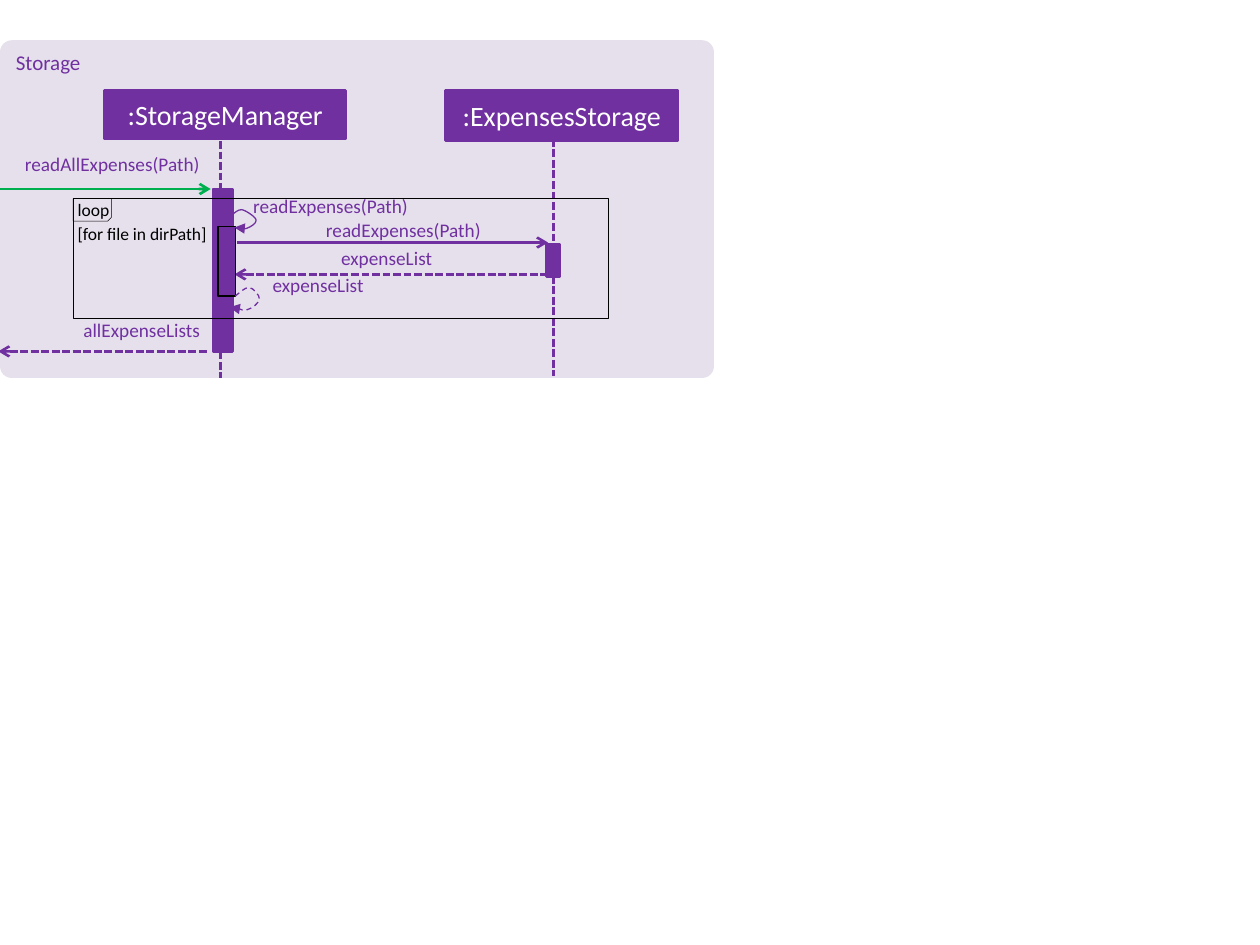
from lxml.etree import SubElement as Sub
from pptx import Presentation
from pptx.dml.color import RGBColor as RGB
from pptx.enum.dml import MSO_LINE as Dash
from pptx.enum.shapes import MSO_CONNECTOR as Conn, MSO_SHAPE as Form
from pptx.enum.text import MSO_ANCHOR as Anchor, PP_ALIGN as Align
from pptx.oxml.ns import qn
from pptx.util import Pt

PURPLE = RGB(0x70, 0x30, 0xA0)
LILAC = RGB(0xE6, 0xE0, 0xEC)
GREEN = RGB(0x00, 0xB0, 0x50)
BLACK = RGB(0, 0, 0)
WHITE = RGB(255, 255, 255)

deck = Presentation()
deck.slide_width, deck.slide_height = Pt(720), Pt(540)
shapes = deck.slides.add_slide(deck.slide_layouts[6]).shapes


def add_box(form, x, y, w, h, fill=None, edge=None, width=1.5):
    box = shapes.add_shape(form, Pt(x), Pt(y), Pt(w), Pt(h))
    box.shadow.inherit = False
    if fill is None:
        box.fill.background()
    else:
        box.fill.solid()
        box.fill.fore_color.rgb = fill
    if edge is None:
        box.line.fill.background()
    else:
        box.line.color.rgb = edge
        box.line.width = Pt(width)
    return box


def write(box, text, size, color, align):
    para = box.text_frame.paragraphs[0]
    para.text = text
    para.alignment = align
    font = para.runs[0].font
    font.name, font.size, font.color.rgb = "Calibri", Pt(size), color


# Component panel
panel = add_box(Form.ROUNDED_RECTANGLE, 0, 23, 408, 193, LILAC)
panel.adjustments[0] = 0.035
panel.text_frame.vertical_anchor = Anchor.TOP
write(panel, "Storage", 12, PURPLE, Align.LEFT)

# Participants
for name, x, y, w, h in [
    (":StorageManager", 59.8, 51.8, 137.8, 27.6),
    (":ExpensesStorage", 254.6, 51.8, 132.8, 28.6),
]:
    head = add_box(Form.RECTANGLE, x, y, w, h, PURPLE, PURPLE)
    head.text_frame.vertical_anchor = Anchor.MIDDLE
    write(head, name, 16, WHITE, Align.CENTER)

# Lifelines and messages: x1, y1, x2, y2, colour, dashed, arrow end
for x1, y1, x2, y2, color, dashed, end in [
    (126, 80.6, 126, 216, PURPLE, True, None),
    (316.2, 79.4, 316.2, 214.8, PURPLE, True, None),
    (0, 108, 120.4, 108, GREEN, False, "tailEnd"),
    (134, 156.8, 315.4, 156.8, PURPLE, True, "headEnd"),
    (-1, 200.8, 118.8, 200.8, PURPLE, True, "headEnd"),
    (135.4, 138.6, 313.2, 138.6, PURPLE, False, "tailEnd"),
]:
    link = shapes.add_connector(Conn.STRAIGHT, Pt(x1), Pt(y1), Pt(x2), Pt(y2))
    link.line.color.rgb = color
    link.line.width = Pt(1.5)
    if dashed:
        link.line.dash_style = Dash.SQUARE_DOT
    props = link._element.spPr
    if end:
        Sub(props.find(qn("a:ln")), qn("a:" + end), type="arrow")
    Sub(props, qn("a:effectLst"))

# Activation bars
for x, y, w, h, edge, width in [
    (121.8, 108, 11, 93, PURPLE, 1.5),
    (312.2, 139.6, 7.8, 18.6, PURPLE, 1.5),
    (124.6, 129.6, 10, 39.6, BLACK, 0.75),
]:
    add_box(Form.RECTANGLE, x, y, w, h, PURPLE, edge, width)

# Loop frame and its tab
add_box(Form.RECTANGLE, 41.8, 113.2, 306, 68.4, None, BLACK, 0.25)
tab = add_box(Form.SNIP_1_RECTANGLE, 41.8, 113.6, 21.8, 12.8, None, BLACK, 0.25)
tab._element.spPr.find(qn("a:xfrm")).set("flipV", "1")

# Labels
for text, x, y, w, size, color in [
    ("readAllExpenses(Path)", 2, 87.2, 112.2, 11, PURPLE),
    ("allExpenseLists", 31, 181.8, 83.4, 11, PURPLE),
    ("readExpenses(Path)", 121, 111, 112.2, 11, PURPLE),
    ("readExpenses(Path)", 162.6, 124.8, 112.2, 11, PURPLE),
    ("expenseList", 167, 140.6, 80, 11, PURPLE),
    ("expenseList", 144.2, 156.2, 63.6, 11, PURPLE),
    ("loop", 35.4, 113.8, 27, 10, BLACK),
    ("[for file in dirPath]", 43, 127.4, 75, 10, BLACK),
]:
    label = shapes.add_textbox(Pt(x), Pt(y), Pt(w), Pt(size * 1.22))
    frame = label.text_frame
    frame.word_wrap = True
    frame.margin_left = frame.margin_right = 0
    frame.margin_top = frame.margin_bottom = 0
    write(label, text, size, color, Align.RIGHT)

# Self calls: a start point, then three points for each Bezier curve
for dashed, points in [
    (False, [(132.5, 123), (133.9, 121.6), (136, 119.7), (138.2, 119.8),
             (140.4, 120.2), (146.3, 124), (146.4, 125.8),
             (146.6, 127.6), (143.2, 129.7), (141.2, 130.4),
             (139.2, 131), (135, 129.8), (134, 130)]),
    (True, [(134.5, 169.2), (137.4, 167), (139.8, 164.3), (142.3, 164.3),
            (144.8, 164.4), (148.5, 168.8), (148.3, 170.9),
            (148.2, 173), (144.2, 176.3), (141.3, 177),
            (138.4, 177.6), (132.8, 174.8), (131.2, 175.6)]),
]:
    spots = [(Pt(x), Pt(y)) for x, y in points]
    pen = shapes.build_freeform(*spots[0])
    pen.add_line_segments(spots[1:], close=False)
    loop = pen.convert_to_shape()
    loop.shadow.inherit = False
    loop.fill.background()
    loop.line.color.rgb = PURPLE
    loop.line.width = Pt(0.75)
    if dashed:
        loop.line.dash_style = Dash.DASH
    props = loop._element.spPr
    Sub(props.find(qn("a:ln")), qn("a:tailEnd"), type="triangle")
    trace = next(props.iter(qn("a:path")))
    steps = trace.findall(qn("a:lnTo"))
    for i in range(0, len(steps), 3):
        curve = Sub(trace, qn("a:cubicBezTo"))
        for step in steps[i:i + 3]:
            curve.append(step[0])
            trace.remove(step)

deck.save("out.pptx")
